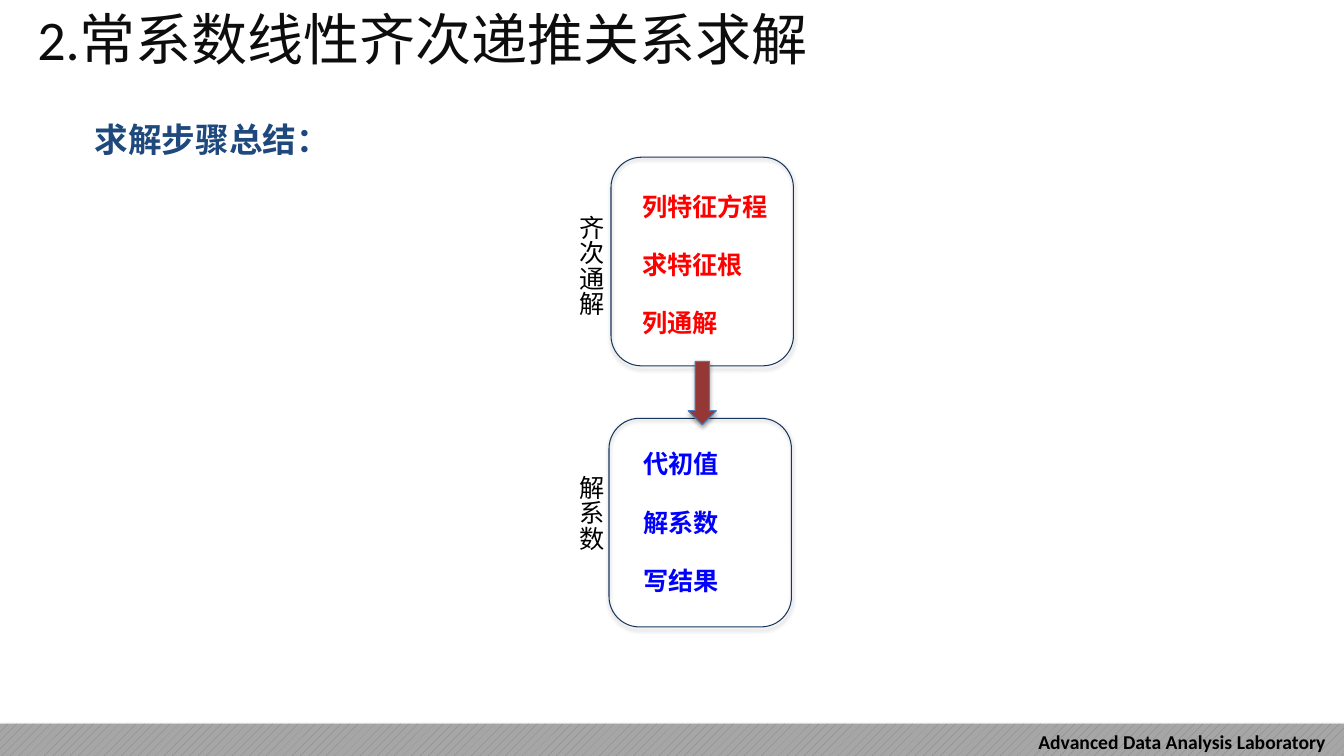
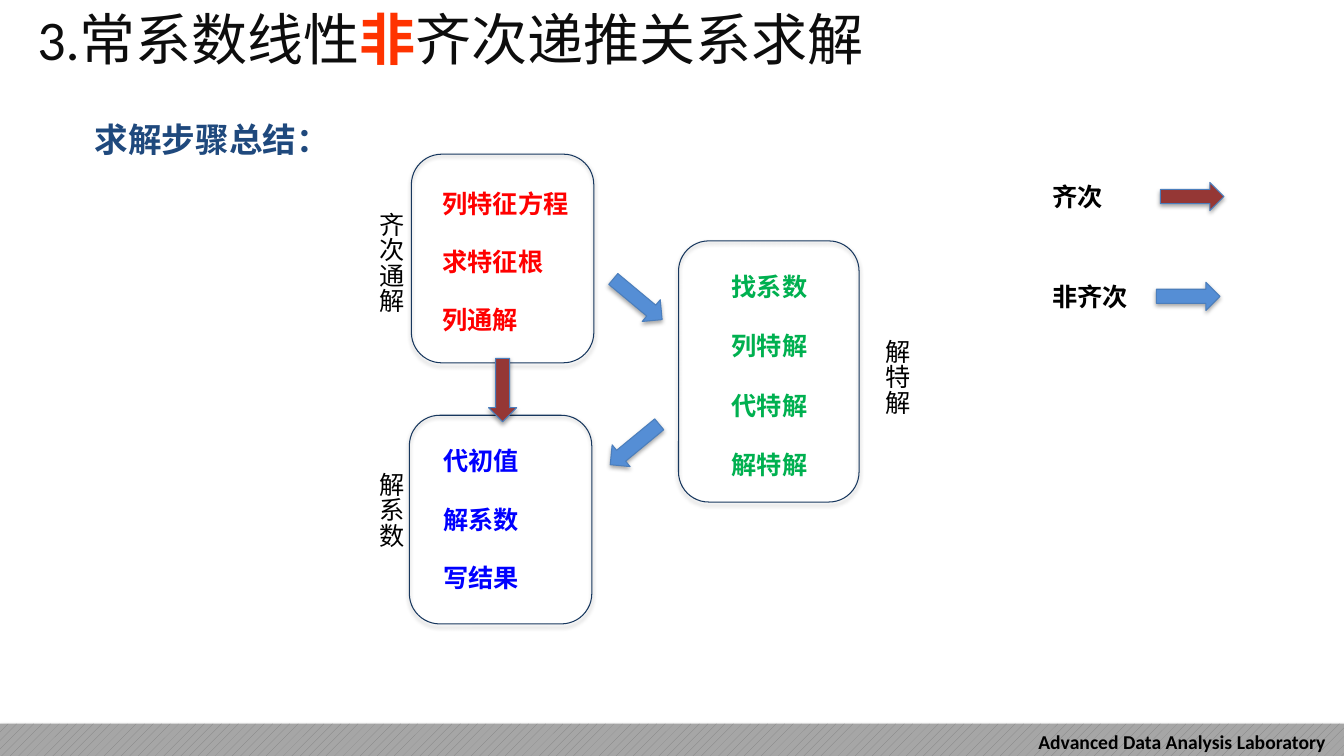
"""Builds two slides that sum up the steps for solving recurrence relations."""
from lxml import etree
from pptx import Presentation, util as u
from pptx.dml.color import RGBColor
from pptx.enum import dml, shapes, text
from pptx.oxml import ns

CELL = u.Inches(0.1)
COLUMNS, ROWS = 133.3, 75
BLACK = RGBColor(0x00, 0x00, 0x00)
INK = RGBColor(0x0D, 0x0D, 0x0D)
HEADING = RGBColor(0x1F, 0x49, 0x7D)
OUTLINE = RGBColor(0x17, 0x37, 0x5E)
ARROW_LINE = RGBColor(0x4B, 0x7E, 0xBC)
RED = RGBColor(0xFF, 0x00, 0x00)
BLUE = RGBColor(0x00, 0x00, 0xFF)
GREEN = RGBColor(0x00, 0xB0, 0x50)
ORANGE = RGBColor(0xFF, 0x33, 0x00)
HOMOGENEOUS = RGBColor(0x95, 0x37, 0x35)
PARTICULAR = RGBColor(0x55, 0x8E, 0xD5)
BAND_DARK = RGBColor(0x80, 0x80, 0x80)
BAND_LIGHT = RGBColor(0xA6, 0xA6, 0xA6)


def cells(*counts):
    return [int(count * CELL) for count in counts]


def style_run(run, size, color, bold=False, font="Calibri"):
    run.font.name = font
    run.font.size = u.Pt(size)
    run.font.bold = bold
    run.font.color.rgb = color


class Deck:
    def __init__(self):
        self.presentation = Presentation()
        self.presentation.slide_width, self.presentation.slide_height = cells(COLUMNS, ROWS)
        self.slide = None

    def new_slide(self, before, accent="", after=""):
        self.slide = self.presentation.slides.add_slide(self.presentation.slide_layouts[5])
        self.footer()
        self.title((before, INK, False), (accent, ORANGE, True), (after, INK, False))
        self.label("求解步骤总结：", 8.4, 11.3, 67.2, 5, 24, HEADING, font="Arial")

    def title(self, *pieces):
        title = self.slide.shapes.title
        title.left, title.top, title.width, title.height = cells(2.7, 0.6, 112.9, 6.3)
        frame = title.text_frame
        frame.auto_size = text.MSO_AUTO_SIZE.NONE
        frame.vertical_anchor = text.MSO_ANCHOR.MIDDLE
        paragraph = frame.paragraphs[0]
        paragraph.alignment = text.PP_ALIGN.LEFT
        for words, color, bold in pieces:
            if words:
                run = paragraph.add_run()
                run.text = words
                style_run(run, 40, color, bold)

    def footer(self):
        band = self.shape(shapes.MSO_SHAPE.RECTANGLE, 0, 71.8, COLUMNS, ROWS - 71.8)
        band.fill.patterned()
        band.fill.pattern = dml.MSO_PATTERN.PERCENT_20
        band.fill.fore_color.rgb = BAND_DARK
        band.fill.back_color.rgb = BAND_LIGHT
        self.label("Advanced Data Analysis Laboratory", 102, 71.9, 31.2, 3.4, 14)

    def shape(self, kind, left, top, width, height, line=None):
        shape = self.slide.shapes.add_shape(kind, *cells(left, top, width, height))
        shape.fill.background()
        if line is None:
            shape.line.fill.background()
        else:
            shape.line.color.rgb = line
            shape.line.width = u.Pt(0.75)
        shape.shadow.inherit = False
        effects = shape._element.spPr.find(ns.qn("a:effectLst"))
        shadow = etree.SubElement(effects, ns.qn("a:outerShdw"), blurRad=str(u.Pt(3.1)),
                                  dist=str(u.Pt(1.8)), dir="5400000", rotWithShape="0")
        color = etree.SubElement(shadow, ns.qn("a:srgbClr"), val=str(BLACK))
        etree.SubElement(color, ns.qn("a:alpha"), val="35000")
        return shape

    def label(self, words, left, top, width, height, size=18, color=BLACK,
              bold=True, font="Calibri"):
        box = self.slide.shapes.add_textbox(*cells(left, top, width, height))
        box.text_frame.word_wrap = True
        box.text_frame.text = words
        style_run(box.text_frame.paragraphs[0].runs[0], size, color, bold, font)
        return box

    def vertical_label(self, words, left, top):
        box = self.label(words, left, top, 5, 13.6, bold=False)
        box.text_frame._txBody.bodyPr.set("vert", "eaVert")

    def arrow(self, left, top, color, rotation=0):
        arrow = self.shape(shapes.MSO_SHAPE.RIGHT_ARROW, left, top, 6.3, 2.8, ARROW_LINE)
        arrow.fill.solid()
        arrow.fill.fore_color.rgb = color
        arrow.rotation = rotation

    def step_box(self, left, top, width, height, steps, color, indent, drop, pitch):
        for row, step in enumerate(steps):
            self.label(step, left + indent, top + drop + row * pitch, 15, 4, color=color)
        self.shape(shapes.MSO_SHAPE.ROUNDED_RECTANGLE, left, top, width, height, OUTLINE)

    def solution_chain(self, left, top):
        self.step_box(left, top, 18.1, 20.7, ("列特征方程", "求特征根", "列通解"),
                      RED, 2.1, 2.9, 5.75)
        self.step_box(left - 0.2, top + 25.9, 18.1, 20.7, ("代初值", "解系数", "写结果"),
                      BLUE, 2.4, 2.5, 5.8)
        self.vertical_label("齐次通解", left - 5, top + 4.8)
        self.vertical_label("解系数", left - 5, top + 30.6)
        self.arrow(left + 5.9, top + 22, HOMOGENEOUS, 90)

    def legend(self, words, top, arrow_left, color):
        self.label(words, 103.4, top, 11.6, 4)
        self.arrow(arrow_left, top + 0.6, color)


def main():
    deck = Deck()
    deck.new_slide("2.常系数线性齐次递推关系求解")
    deck.solution_chain(60.6, 15.6)

    deck.new_slide("3.常系数线性", "非", "齐次递推关系求解")
    deck.step_box(67.3, 23.9, 17.9, 25.9, ("找系数", "列特解", "代特解", "解特解"),
                  GREEN, 4.3, 2.5, 5.9)
    deck.vertical_label("解特解", 86, 32.7)
    deck.arrow(60.1, 28.3, PARTICULAR, 39.8)
    deck.arrow(59.8, 42.7, PARTICULAR, 140.5)
    deck.legend("齐次", 17.5, 115.1, HOMOGENEOUS)
    deck.legend("非齐次", 27.4, 114.7, PARTICULAR)
    deck.solution_chain(40.8, 15.3)
    deck.presentation.save("out.pptx")


if __name__ == "__main__":
    main()
